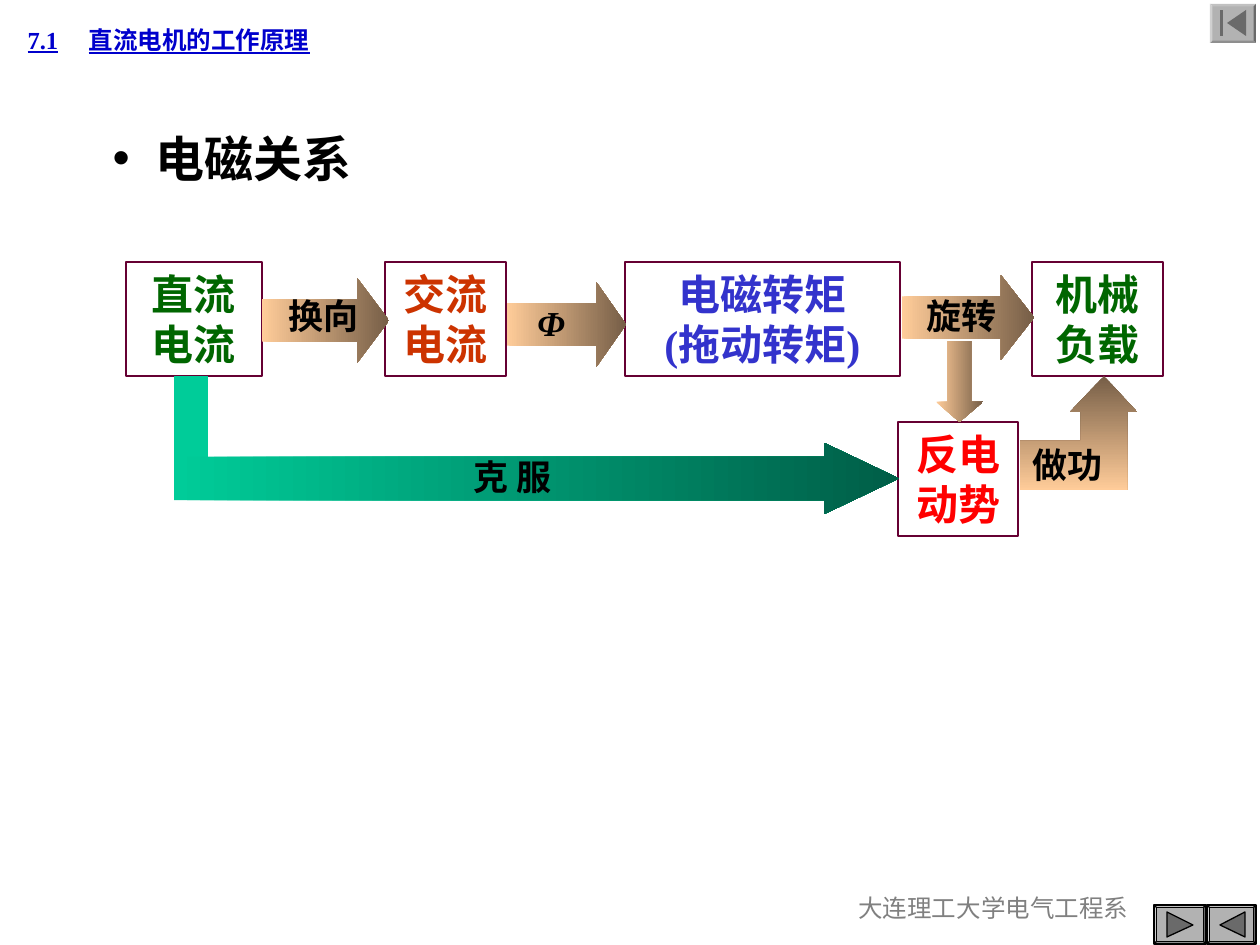
import pptx
import pptx.util
import pptx.dml.color
import pptx.enum.shapes
import pptx.enum.text
import lxml.etree

RGB = pptx.dml.color.RGBColor
KIND = pptx.enum.shapes.MSO_SHAPE
ALIGN = pptx.enum.text.PP_ALIGN
ANCHOR = pptx.enum.text.MSO_ANCHOR
PX = 914400 / 126

BLACK = RGB(0x00, 0x00, 0x00)
GREY = RGB(0x80, 0x80, 0x80)
LINK = RGB(0x00, 0x00, 0xCC)
GREEN = RGB(0x00, 0x66, 0x00)
BRICK = RGB(0xCC, 0x33, 0x00)
BLUE = RGB(0x33, 0x33, 0xCC)
RED = RGB(0xFF, 0x00, 0x00)
WINE = RGB(0x66, 0x00, 0x33)
SAND = RGB(0xFF, 0xCC, 0x99)
BROWN = RGB(0x76, 0x5E, 0x47)
MINT = RGB(0x00, 0xCC, 0x99)
PINE = RGB(0x00, 0x5E, 0x47)
SILVER = RGB(0xB2, 0xB2, 0xB2)
DARK = RGB(0x6A, 0x6A, 0x6A)

TITLE = "7.1\t直流电机的工作原理"
TOPIC = "电磁关系"
SCHOOL = "大连理工大学电气工程系"

# text, colour, place
BOXES = [
    ("直流电流", GREEN, (126, 262, 136, 114)),
    ("交流电流", BRICK, (385, 262, 121, 114)),
    ("电磁转矩\n(拖动转矩)", BLUE, (625, 262, 275, 114)),
    ("机械负载", GREEN, (1032, 262, 131, 114)),
    ("反电动势", RED, (898, 422, 120, 114)),
]
# preset, place, shaft share, head share, first and last colour
ARROWS = [
    (KIND.RIGHT_ARROW, (262, 278, 127, 85), 0.5, 0.375, SAND, BROWN),
    (KIND.RIGHT_ARROW, (507, 282, 119, 85), 0.5, 0.35, SAND, BROWN),
    (KIND.RIGHT_ARROW, (902, 275, 132, 85), 0.5, 0.39, SAND, BROWN),
    (KIND.DOWN_ARROW, (936, 341, 47, 81), 0.5, 0.43, SAND, BROWN),
    (KIND.RIGHT_ARROW, (174, 443, 725, 71), 0.61, 1.05, MINT, PINE),
]
STEM = (174, 376, 34, 120)
WORK = [(1104, 376), (1070, 412), (1081, 412), (1081, 441), (1020, 441),
        (1020, 490), (1127, 490), (1127, 412), (1137, 412)]
# text, left, top, width, italic
LABELS = [
    ("换向", 276, 288, 94, False),
    ("Φ", 525, 295, 53, True),
    ("旋转", 914, 288, 94, False),
    ("克 服", 461, 449, 103, False),
    ("做功", 1020, 437, 94, False),
]
# place, outlined, icon outlines
BUTTONS = [
    ((1154, 905, 52, 39), True, [[(1167, 912), (1193, 925), (1167, 937)]]),
    ((1207, 905, 49, 39), True, [[(1220, 925), (1245, 912), (1245, 937)]]),
    ((1210, 4, 46, 39), False, [
        [(1227, 23), (1246, 10), (1246, 36)],
        [(1220, 10), (1223, 10), (1223, 36), (1220, 36)],
    ]),
]


def emu(px):
    return pptx.util.Emu(round(px * PX))


def put(obj, place):
    for name, px in zip(("left", "top", "width", "height"), place):
        setattr(obj, name, emu(px))


def write(obj, text, size, color, align=ALIGN.LEFT, anchor=ANCHOR.TOP,
          wrap=True, **extra):
    frame = obj.text_frame
    frame.text = text
    frame.word_wrap = wrap
    frame.auto_size = pptx.enum.text.MSO_AUTO_SIZE.NONE
    frame.vertical_anchor = anchor
    form = {"name": "Times New Roman", "size": pptx.util.Pt(size),
            "bold": True, **extra}
    for para in frame.paragraphs:
        para.alignment = align
        para.space_before = pptx.util.Pt(0)
        for run in para.runs:
            run.font.color.rgb = color
            for key, val in form.items():
                setattr(run.font, key, val)


def blend(obj, first, last, angle=0):
    obj.fill.gradient()
    obj.fill.gradient_angle = angle
    for stop, color in zip(obj.fill.gradient_stops, (first, last)):
        stop.color.rgb = color


def edge(obj, color=None):
    """Draw a thin line, or none, and drop the shadow."""
    obj.shadow.inherit = False
    if color is None:
        obj.line.fill.background()
    else:
        obj.line.color.rgb = color
        obj.line.width = pptx.util.Pt(0.75)


def outline(shapes, points):
    pen = shapes.build_freeform(*points[0], scale=PX)
    pen.add_line_segments(points[1:], close=True)
    return pen.convert_to_shape()


def preset(shapes, kind, place):
    return shapes.add_shape(kind, *map(emu, place))


def main():
    deck = pptx.Presentation()
    deck.slide_width, deck.slide_height = emu(1260), emu(945)
    slide = deck.slides.add_slide(deck.slide_layouts[1])
    shapes = slide.shapes

    title, body = slide.placeholders
    put(title, (15, 18, 397, 43))
    write(title, TITLE, 14, LINK, anchor=ANCHOR.MIDDLE, underline=True)
    props = title.text_frame.paragraphs[0]._p.get_or_add_pPr()
    tabs = lxml.etree.SubElement(props, pptx.oxml.ns.qn("a:tabLst"))
    lxml.etree.SubElement(tabs, pptx.oxml.ns.qn("a:tab"),
                          pos=str(emu(61)), algn="l")

    put(body, (100, 122, 406, 72))
    write(body, TOPIC, 28, BLACK)
    props = body.text_frame.paragraphs[0]._p.get_or_add_pPr()
    props.set("marL", str(emu(43)))
    props.set("indent", str(emu(-43)))

    foot = shapes.add_textbox(*map(emu, (794, 887, 399, 63)))
    write(foot, SCHOOL, 14, GREY, ALIGN.CENTER, bold=False)

    for text, color, place in BOXES:
        box = preset(shapes, KIND.RECTANGLE, place)
        box.fill.background()
        edge(box, WINE)
        write(box, text, 24, color, ALIGN.CENTER)

    stem = preset(shapes, KIND.RECTANGLE, STEM)
    stem.fill.solid()
    stem.fill.fore_color.rgb = MINT
    edge(stem)

    for kind, place, shaft, head, first, last in ARROWS:
        arrow = preset(shapes, kind, place)
        arrow.adjustments[0], arrow.adjustments[1] = shaft, head
        blend(arrow, first, last)
        edge(arrow)

    work = outline(shapes, WORK)
    blend(work, BROWN, SAND, 270)
    edge(work)

    for text, left, top, width, slant in LABELS:
        label = shapes.add_textbox(*map(emu, (left, top, width, 55)))
        write(label, text, 20, BLACK, wrap=False, italic=slant)

    for place, lined, icons in BUTTONS:
        color = BLACK if lined else None
        button = preset(shapes, KIND.BEVEL, place)
        button.adjustments[0] = 0.06
        button.fill.solid()
        button.fill.fore_color.rgb = SILVER
        edge(button, color)
        for points in icons:
            icon = outline(shapes, points)
            icon.fill.solid()
            icon.fill.fore_color.rgb = DARK
            edge(icon, color)

    deck.save("out.pptx")


if __name__ == "__main__":
    main()
